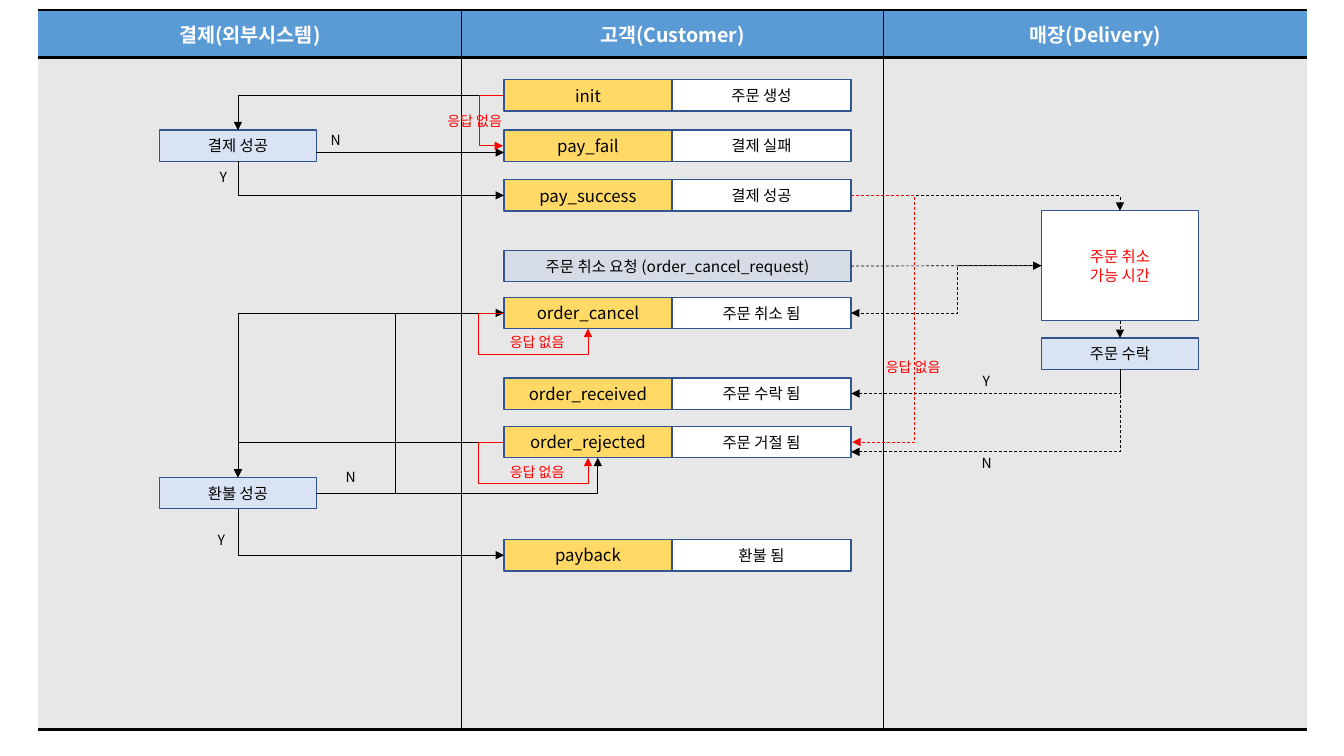
from lxml.etree import SubElement
from pptx import Presentation
from pptx.dml.color import RGBColor
from pptx.enum.dml import MSO_LINE
from pptx.enum.shapes import MSO_CONNECTOR as CONN, MSO_SHAPE
from pptx.enum.text import MSO_ANCHOR, PP_ALIGN
from pptx.oxml.ns import qn
from pptx.util import Pt

BLACK = RGBColor(0x00, 0x00, 0x00)
WHITE = RGBColor(0xFF, 0xFF, 0xFF)
RED = RGBColor(0xFF, 0x00, 0x00)
HEADER = RGBColor(0x5B, 0x9B, 0xD5)
LANE = RGBColor(0xE7, 0xE7, 0xE7)
YELLOW = RGBColor(0xFF, 0xD9, 0x66)
PALE = RGBColor(0xDA, 0xE3, 0xF3)
GREY = RGBColor(0xD6, 0xDC, 0xE5)
OUTLINE = RGBColor(0x32, 0x54, 0x91)

TOP, LEFT, BOTTOM, RIGHT = range(4)  # connection sites of a rectangle
BOX_H = 22.4
STATE_X, STATE_W, NOTE_W = 360, 120, 128
SIDE_W, PAY_X, STORE_X = 112, 114, 744


class Diagram:
    """Holds the style and the current slide."""

    def __init__(self, slide, font):
        self.shapes = slide.shapes
        self.font = font

    def set_text(self, tf, text, size, color, align=PP_ALIGN.CENTER, bold=False):
        """Fill a text frame, one paragraph a line."""
        tf.text = text
        for p in tf.paragraphs:
            p.alignment = align
            p.font.name, p.font.size, p.font.bold = self.font, Pt(size), bold
            p.font.color.rgb = color
            props = p._p.get_or_add_pPr().find(qn("a:defRPr"))
            SubElement(props, qn("a:ea")).set("typeface", self.font)

    def border(self, cell, sides):
        """Draw cell borders; a width of 0 means none."""
        props = cell._tc.get_or_add_tcPr()
        for i, (side, width) in enumerate(sides.items()):
            ln = SubElement(props, qn(f"a:ln{side}"), w=str(Pt(width)))
            if width:
                fill = SubElement(ln, qn("a:solidFill"))
                SubElement(fill, qn("a:srgbClr"), val=str(BLACK))
            else:
                SubElement(ln, qn("a:noFill"))
            props.insert(i, ln)

    def lanes(self, titles, x, y, col_w, heights):
        """Draw the swimlanes as a table with a header row."""
        n = len(titles)
        table = self.shapes.add_table(2, n, Pt(x), Pt(y), Pt(col_w * n),
                                      Pt(sum(heights))).table
        table.horz_banding = False
        for row, height in zip(table.rows, heights):
            row.height = Pt(height)
        for col, title in enumerate(titles):
            table.columns[col].width = Pt(col_w)
            for row, color in enumerate((HEADER, LANE)):
                cell = table.cell(row, col)
                cell.fill.solid()
                cell.fill.fore_color.rgb = color
                self.border(cell, {"L": int(col > 0), "R": int(col < n - 1),
                                   "T": 2, "B": 2})
            head = table.cell(0, col)
            head.vertical_anchor = MSO_ANCHOR.MIDDLE
            self.set_text(head.text_frame, title, 14, WHITE, bold=True)

    def box(self, text, x, y, w, fill, h=BOX_H, size=11, color=BLACK):
        """Draw an outlined rectangle with centred text."""
        s = self.shapes.add_shape(MSO_SHAPE.RECTANGLE, Pt(x), Pt(y), Pt(w), Pt(h))
        s.shadow.inherit = False
        s.fill.solid()
        s.fill.fore_color.rgb = fill
        s.line.color.rgb, s.line.width = OUTLINE, Pt(1)
        s.text_frame.vertical_anchor = MSO_ANCHOR.MIDDLE
        self.set_text(s.text_frame, text, size, color)
        return s

    def state(self, name, note, y):
        """Draw an order state beside its meaning."""
        return (self.box(name, STATE_X, y, STATE_W, YELLOW, size=12),
                self.box(note, STATE_X + STATE_W, y, NOTE_W, WHITE))

    def label(self, text, x, y, w, color=BLACK):
        """Put a small label beside an arrow."""
        s = self.shapes.add_textbox(Pt(x), Pt(y), Pt(w), Pt(19.4))
        s.text_frame.word_wrap = False
        self.set_text(s.text_frame, text, 10, color, PP_ALIGN.LEFT)

    def arrow(self, start, end, preset=None, adj=(), color=BLACK, dash=False,
              tip="tailEnd", nudge=0):
        """Join two ends, each an (x, y) point or a (shape, site) pair."""
        kind = CONN.ELBOW if preset else CONN.STRAIGHT
        c = self.shapes.add_connector(kind, 0, 0, 0, 0)
        if isinstance(start[0], (int, float)):
            c.begin_x, c.begin_y = Pt(start[0]), Pt(start[1])
        else:
            c.begin_connect(*start)
        if isinstance(end[0], (int, float)):
            c.end_x, c.end_y = Pt(end[0]), Pt(end[1])
        else:
            c.end_connect(*end)
        if nudge:
            c.end_x += Pt(nudge)
        c.line.color.rgb, c.line.width = color, Pt(0.5)
        if dash:
            c.line.dash_style = MSO_LINE.DASH
        props = c._element.spPr
        SubElement(props.get_or_add_ln(), qn(f"a:{tip}"), type="triangle")
        SubElement(props, qn("a:effectLst"))
        if preset:
            geom = props.find(qn("a:prstGeom"))
            geom.set("prst", preset)
            guides = geom.find(qn("a:avLst"))
            for i, value in enumerate(adj, 1):
                # A lone guide is adj1 as well
                SubElement(guides, qn("a:gd"), name=f"adj{i}",
                           fmla=f"val {round(value * 100000)}")

    def corner(self, side, end, into_side=False, dash=False):
        """Draw a one-bend arrow, level at its first end."""
        self.arrow(side, end, "bentConnector2", dash=dash,
                   tip="headEnd" if into_side else "tailEnd")


def main():
    """Build the order state flow."""
    prs = Presentation()
    prs.slide_width, prs.slide_height = Pt(960), Pt(540)
    d = Diagram(prs.slides.add_slide(prs.slide_layouts[6]), "Noto Sans CJK KR")
    d.lanes(["결제(외부시스템)", "고객(Customer)", "매장(Delivery)"],
            27.4, 7, 302, (34, 480))

    init, _ = d.state("init", "주문 생성", 57)
    fail, _ = d.state("pay_fail", "결제 실패", 93)
    success, success_note = d.state("pay_success", "결제 성공", 128.4)
    request = d.box("주문 취소 요청 (order_cancel_request)", STATE_X, 178.8,
                    STATE_W + NOTE_W, GREY)
    cancel, cancel_note = d.state("order_cancel", "주문 취소 됨", 212.4)
    _, received_note = d.state("order_received", "주문 수락 됨", 270)
    rejected, rejected_note = d.state("order_rejected", "주문 거절 됨", 304.6)
    payback, _ = d.state("payback", "환불 됨", 385.4)

    paid = d.box("결제 성공", PAY_X, 93, SIDE_W, PALE)
    refund = d.box("환불 성공", PAY_X, 341, SIDE_W, PALE)
    window = d.box("주문 취소\n가능 시간", STORE_X, 150.5, SIDE_W, WHITE,
                   h=78.6, color=RED)
    accept = d.box("주문 수락", STORE_X, 241.4, SIDE_W, PALE)

    d.corner((init, LEFT), (paid, TOP))
    d.corner((success, LEFT), (paid, BOTTOM), into_side=True)
    d.corner((success_note, RIGHT), (window, TOP), dash=True)
    d.corner((received_note, RIGHT), (accept, BOTTOM), into_side=True, dash=True)
    d.corner((608, 322.8), (accept, BOTTOM), into_side=True, dash=True)
    d.corner((rejected, LEFT), (refund, TOP))
    d.corner((cancel, LEFT), (refund, TOP))
    d.corner((payback, LEFT), (refund, BOTTOM), into_side=True)

    d.arrow((226, 108.9), (STATE_X, 108.9))
    d.arrow((request, RIGHT), (window, LEFT), dash=True)
    d.arrow((window, BOTTOM), (accept, TOP), dash=True)
    d.arrow((window, LEFT), (cancel_note, RIGHT), "bentConnector3", [0.44], dash=True)
    d.arrow((refund, RIGHT), (cancel, LEFT), "bentConnector3", [0.42])
    d.arrow((refund, RIGHT), (427, 327), "bentConnector3", [1])

    d.arrow((init, LEFT), (fail, LEFT), "bentConnector3", [25], RED, nudge=-0.72)
    d.arrow((success_note, RIGHT), (rejected_note, RIGHT), "bentConnector3",
            [64], RED, dash=True, nudge=0.72)
    for state in (cancel, rejected):
        d.arrow((state, LEFT), (state, BOTTOM), "bentConnector4", [-0.3, 2.62], RED)

    for text, x, y in [("Y", 149.8, 116.6), ("N", 229, 90.7), ("Y", 694.8, 262.8),
                       ("N", 694.1, 321.1), ("N", 239.8, 331.2), ("Y", 148.3, 375.8)]:
        d.label(text, x, y, 21)
    for x, y in [(312.5, 77), (625.7, 252.7), (357.1, 327.6), (357.1, 234.7)]:
        d.label("응답 없음", x, y, 58.3, RED)
    prs.save("out.pptx")


main()
